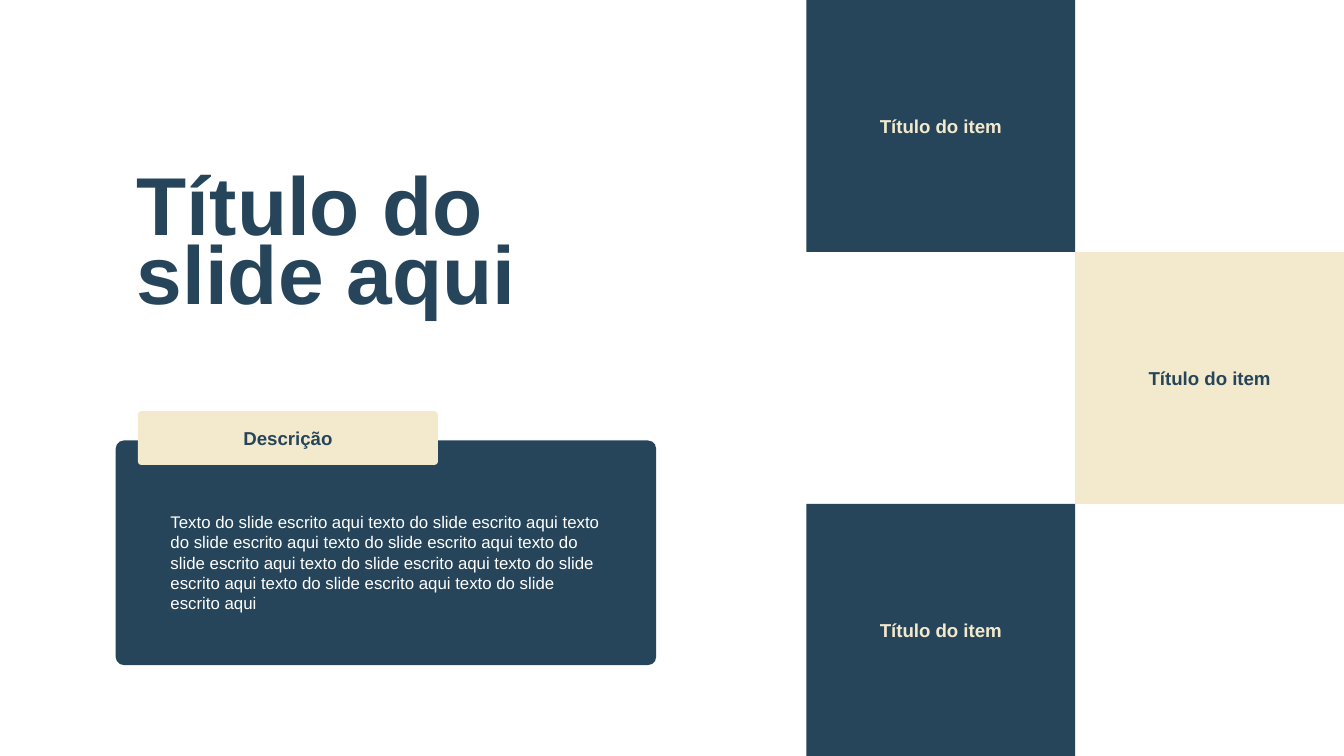
"""Build a title slide with a description card and a checker of item tiles."""
from dataclasses import dataclass

from pptx import Presentation
from pptx.dml.color import RGBColor
from pptx.enum.shapes import MSO_SHAPE
from pptx.enum.text import MSO_ANCHOR, MSO_AUTO_SIZE, PP_ALIGN
from pptx.util import Pt

RECT = MSO_SHAPE.RECTANGLE
ROUND = MSO_SHAPE.ROUNDED_RECTANGLE
MIDDLE = MSO_ANCHOR.MIDDLE
TOP = MSO_ANCHOR.TOP
CENTER = PP_ALIGN.CENTER
LEFT = PP_ALIGN.LEFT
GROW = MSO_AUTO_SIZE.SHAPE_TO_FIT_TEXT


@dataclass(frozen=True)
class Theme:
    font: str = "Arial"
    navy: RGBColor = RGBColor(0x26, 0x45, 0x5A)
    cream: RGBColor = RGBColor(0xF3, 0xEA, 0xCD)
    white: RGBColor = RGBColor(0xFF, 0xFF, 0xFF)
    title: int = 44
    label: int = 10
    body: int = 9


THEME = Theme()
WIDTH, HEIGHT = 720, 405
TILE_W, TILE_H = 144, HEIGHT / 3
TILE_LEFT = WIDTH - 2 * TILE_W


def write(shape, text, size, color, bold=True, align=LEFT, anchor=MIDDLE):
    frame = shape.text_frame
    frame.word_wrap = True
    frame.vertical_anchor = anchor
    frame.text = text
    line = frame.paragraphs[0]
    line.alignment = align
    font = line.runs[0].font
    font.name, font.size, font.bold = THEME.font, Pt(size), bold
    font.color.rgb = color
    return frame


def add_block(slide, kind, box, fill, radius=None):
    shape = slide.shapes.add_shape(kind, *map(Pt, box))
    shape.shadow.inherit = False
    shape.fill.solid()
    shape.fill.fore_color.rgb = fill
    shape.line.fill.background()
    if radius is not None:
        shape.adjustments[0] = radius
    return shape


def add_label(slide, kind, box, text, fill, color, radius=None):
    shape = add_block(slide, kind, box, fill, radius)
    write(shape, text, THEME.label, color, align=CENTER)


def add_text(slide, box, text, size, color, **style):
    frame = write(slide.shapes.add_textbox(*map(Pt, box)), text, size, color, **style)
    frame.auto_size = GROW
    return frame


def add_title(slide):
    frame = add_text(slide, (66.24, 88.56, 264.24, 90), "Título do slide aqui",
                     THEME.title, THEME.navy)
    frame.margin_left = frame.margin_right = Pt(7.2)
    frame.margin_top = frame.margin_bottom = Pt(7.2)
    frame.paragraphs[0].line_spacing = 0.7


def add_card(slide):
    add_block(slide, ROUND, (62, 236, 289.5, 120.3), THEME.navy, 0.036)
    phrase = "texto do slide escrito aqui"
    body = " ".join([phrase] * 9).capitalize()
    add_text(slide, (84.24, 270.72, 246.24, 61.92), body,
             THEME.body, THEME.white, bold=False, anchor=TOP)
    add_label(slide, ROUND, (73.9, 220.3, 160.7, 28.8), "Descrição",
              THEME.cream, THEME.navy, 0.064)


def add_tiles(slide):
    for row in range(3):
        col = row % 2
        fill, color = (THEME.cream, THEME.navy) if col else (THEME.navy, THEME.cream)
        box = (TILE_LEFT + col * TILE_W, row * TILE_H, TILE_W, TILE_H)
        add_label(slide, RECT, box, "Título do item", fill, color)


def main():
    deck = Presentation()
    deck.slide_width, deck.slide_height = Pt(WIDTH), Pt(HEIGHT)
    slide = deck.slides.add_slide(deck.slide_layouts[6])
    add_tiles(slide)
    add_title(slide)
    add_card(slide)
    deck.save("out.pptx")


if __name__ == "__main__":
    main()
